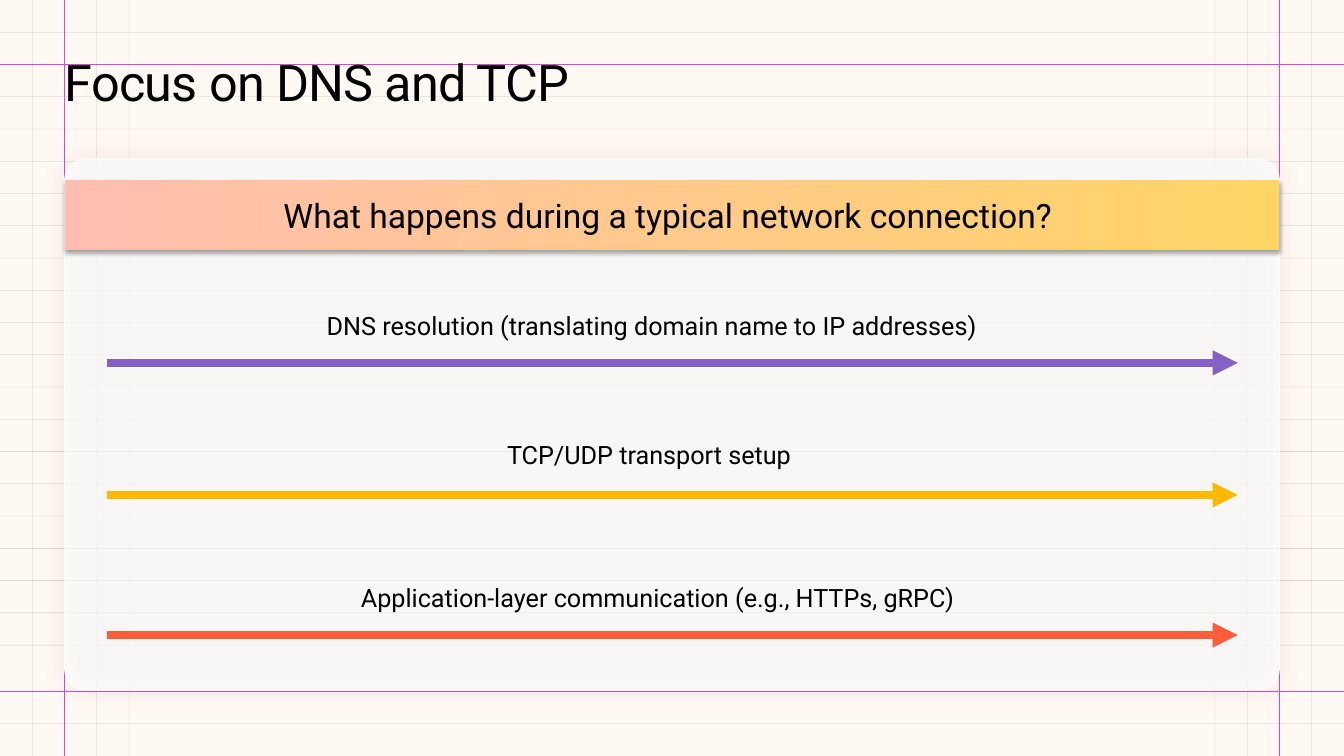
from pptx import Presentation
from pptx.dml.color import RGBColor
from pptx.enum.shapes import MSO_CONNECTOR, MSO_SHAPE
from pptx.enum.text import MSO_ANCHOR, MSO_AUTO_SIZE, PP_ALIGN
from pptx.oxml import parse_xml
from pptx.oxml.ns import nsdecls, qn
from pptx.util import Pt

WIDE, HIGH = 960, 540
STEP = 23.04
LEFT, SPAN = 46.08, 867.84
HUES = {
    "back": "FFF8F3", "ink": "000000", "white": "FFFFFF", "pink": "DF45D4",
    "peach": "FFBEB0", "sand": "FFD566",
    "violet": "8661C5", "gold": "FFB900", "coral": "FF5C39",
}
# label, left, top, width, arrow height on the slide, hue
STAGES = [
    ("DNS resolution (translating domain name to IP addresses)",
     233.28, 221.76, 493.2, 259.2, "violet"),
    ("TCP/UDP transport setup", 362.16, 313.92, 236.16, 353.52, "gold"),
    ("Application-layer communication (e.g., HTTPs, gRPC)",
     257.76, 416.16, 444.96, 453.6, "coral"),
]


def rgb(hue):
    return RGBColor.from_string(HUES[hue])


def put(item, values):
    for name, value in values.items():
        setattr(item, name, value)


def place(shape, left, top, width, height):
    put(shape, {"left": Pt(left), "top": Pt(top),
                "width": Pt(width), "height": Pt(height)})


def fade(fill, percent):
    """Make a solid fill element partly clear."""
    color = fill.find(qn("a:srgbClr"))
    color.append(parse_xml(f'<a:alpha {nsdecls("a")} val="{percent * 1000}"/>'))


def shade(shape, percent, blur, dist, angle):
    """Give the shape a soft black outer shadow."""
    shape.shadow.inherit = False
    shape.element.spPr.find(qn("a:effectLst")).append(parse_xml(
        f'<a:outerShdw {nsdecls("a")} blurRad="{Pt(blur)}" dist="{Pt(dist)}" '
        f'dir="{angle * 60000}" algn="ctr" rotWithShape="0">'
        f'<a:srgbClr val="{HUES["ink"]}"><a:alpha val="{percent * 1000}"/>'
        '</a:srgbClr></a:outerShdw>'))


def write(shape, text, size, align=PP_ALIGN.LEFT, anchor=MSO_ANCHOR.TOP, pad=(0, 0)):
    frame = shape.text_frame
    side, edge = map(Pt, pad)
    put(frame, {"margin_left": side, "margin_right": side,
                "margin_top": edge, "margin_bottom": edge, "word_wrap": True,
                "auto_size": MSO_AUTO_SIZE.NONE, "vertical_anchor": anchor})
    para = frame.paragraphs[0]
    para.alignment = align
    run = para.add_run()
    run.text = text
    put(run.font, {"name": "Roboto", "size": Pt(size)})
    run.font.color.rgb = rgb("ink")
    return run


def draw_line(shapes, start, end, hue, width):
    """Draw a plain line and return its outline element."""
    line = shapes.add_connector(MSO_CONNECTOR.STRAIGHT, *map(Pt, start + end))
    line.line.color.rgb = rgb(hue)
    line.line.width = Pt(width)
    props = line.element.spPr
    props.append(parse_xml(f'<a:effectLst {nsdecls("a")}/>'))
    return props.find(qn("a:ln"))


def draw_grid(slide):
    shapes = slide.shapes.add_group_shape().shapes
    rows = [(i, i * STEP) for i in range(1, 21)]
    rows += [(i, HIGH - i * STEP) for i in (1, 2)]
    cols = [(i, x) for i in range(1, 5) for x in (i * STEP, WIDE - i * STEP)]
    rules = [(i, (0, y), (WIDE, y)) for i, y in rows]
    rules += [(i, (x, 0), (x, HIGH)) for i, x in cols]
    for i, start, end in rules:
        pink = i == 2
        edge = draw_line(shapes, start, end, "pink" if pink else "ink", 0.25)
        if not pink:
            fade(edge.find(qn("a:solidFill")), 20)


def add_title(slide, text):
    title = slide.shapes.title
    title.element.getparent().append(title.element)
    place(title, LEFT, 36, SPAN, 43.92)
    run = write(title, text, 36, anchor=MSO_ANCHOR.MIDDLE)
    run.font._element.set("spc", "-50")


def add_panel(slide):
    panel = slide.shapes.add_shape(
        MSO_SHAPE.ROUNDED_RECTANGLE, *map(Pt, (LEFT, 113.04, SPAN, 380.16)))
    panel.adjustments[0] = 0.04
    panel.fill.solid()
    panel.fill.fore_color.rgb = rgb("white")
    fade(panel.element.spPr.find(qn("a:solidFill")), 70)
    panel.line.color.rgb = rgb("white")
    panel.line.width = Pt(0.5)
    shade(panel, 10, 18, 0, 0)


def add_banner(slide, text):
    banner = slide.shapes.add_shape(
        MSO_SHAPE.RECTANGLE, *map(Pt, (LEFT, 128.88, SPAN, 49.68)))
    banner.fill.gradient()
    banner.fill.gradient_angle = 0
    for stop, hue in zip(banner.fill.gradient_stops, ("peach", "sand")):
        stop.color.rgb = rgb(hue)
    banner.line.fill.background()
    shade(banner, 35, 3.1, 1.8, 90)
    write(banner, text, 24, PP_ALIGN.CENTER, MSO_ANCHOR.MIDDLE, (14.4, 11.52))


def add_label(slide, text, left, top, width):
    box = slide.shapes.add_textbox(*map(Pt, (left, top, width, 21.6)))
    write(box, text, 18)


def add_arrow(slide, y, hue):
    edge = draw_line(slide.shapes, (76.32, y), (884.16, y), hue, 6)
    edge.append(parse_xml(f'<a:tailEnd {nsdecls("a")} type="triangle"/>'))


def main():
    deck = Presentation()
    put(deck, {"slide_width": Pt(WIDE), "slide_height": Pt(HIGH)})
    slide = deck.slides.add_slide(deck.slide_layouts.get_by_name("Title Only"))
    slide.background.fill.solid()
    slide.background.fill.fore_color.rgb = rgb("back")
    draw_grid(slide)
    add_title(slide, "Focus on DNS and TCP")
    add_panel(slide)
    add_banner(slide, "What happens during a typical network connection? ")
    for text, left, top, width, y, hue in STAGES:
        add_label(slide, text, left, top, width)
        add_arrow(slide, y, hue)
    deck.save("out.pptx")


if __name__ == "__main__":
    main()
